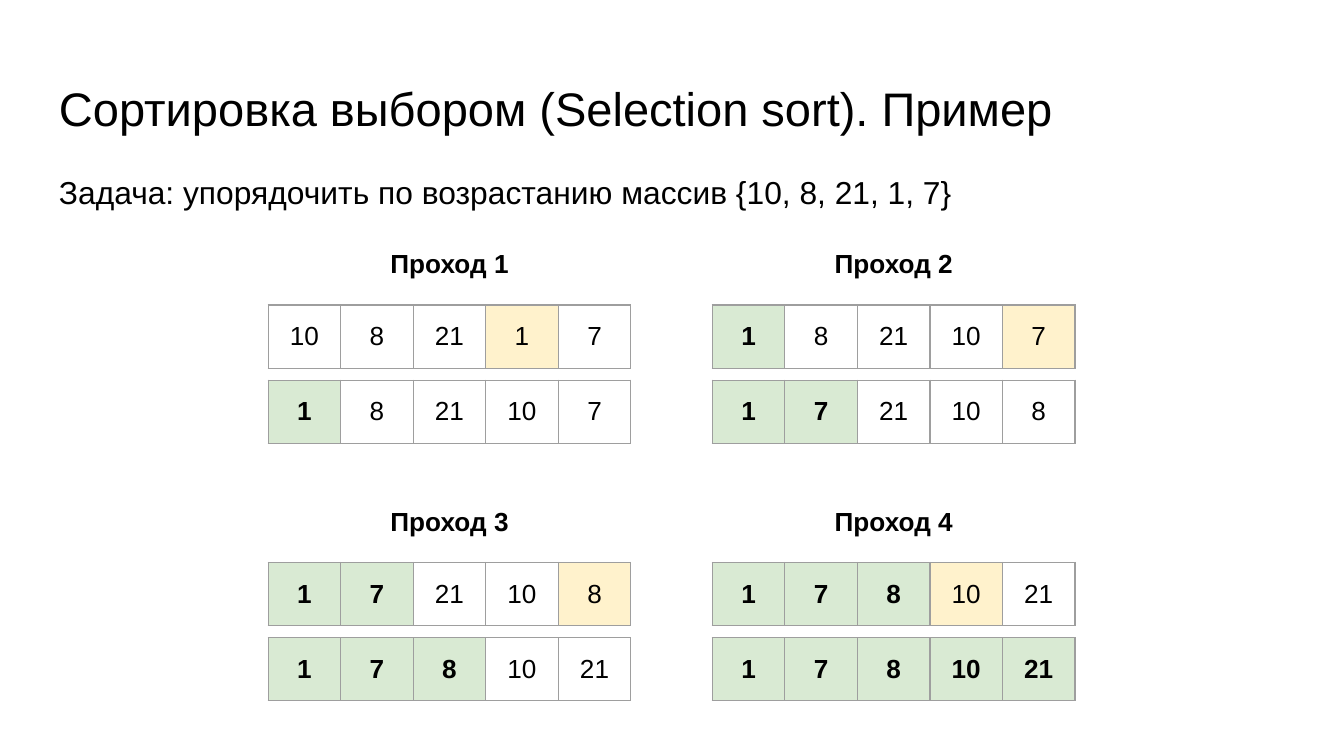
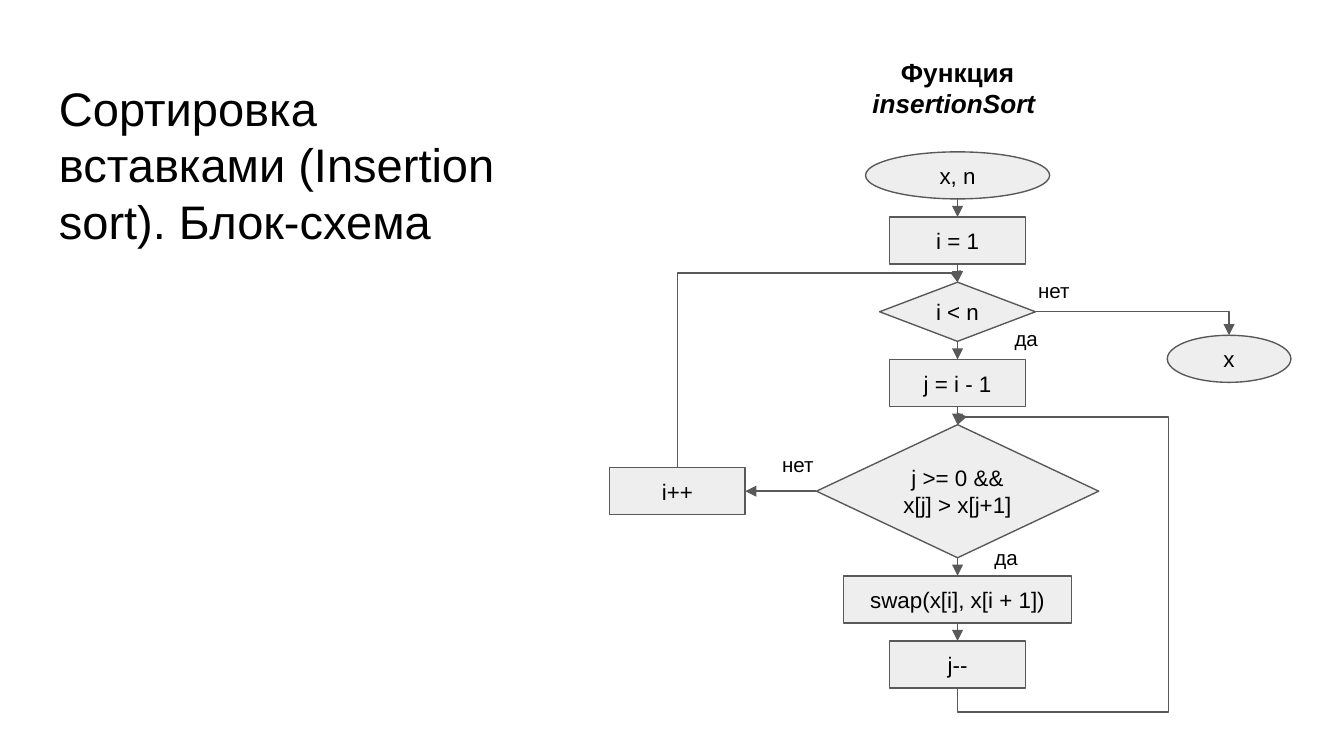
from lxml import etree
from pptx import Presentation
from pptx.dml.color import RGBColor
from pptx.enum.shapes import MSO_CONNECTOR, MSO_SHAPE
from pptx.enum.text import MSO_ANCHOR, PP_ALIGN
from pptx.oxml.ns import qn
from pptx.util import Emu, Pt

STRAIGHT = MSO_CONNECTOR.STRAIGHT
ELBOW = MSO_CONNECTOR.ELBOW
ELLIPSE = MSO_SHAPE.OVAL
RECTANGLE = MSO_SHAPE.RECTANGLE
DIAMOND = MSO_SHAPE.DIAMOND
LEFT = PP_ALIGN.LEFT
CENTER = PP_ALIGN.CENTER
TOP = MSO_ANCHOR.TOP
MIDDLE = MSO_ANCHOR.MIDDLE

SIDE_TOP, SIDE_LEFT, SIDE_BOTTOM, SIDE_RIGHT = range(4)

EMU_PER_PX = 4572
FONT = "Arial"
COLORS = {
    "text": "000000",
    "background": "FFFFFF",
    "sorted": "D9EAD3",
    "minimum": "FFF2CC",
    "cell_border": "9E9E9E",
    "node": "EEEEEE",
    "node_line": "595959",
}
INSET = 20
LINE_WIDTH = Pt(0.75)
CELL_WIDTH, CELL_HEIGHT = 108, 94
NODE_HEIGHT = 70
NODE_GAP = 27
AXIS = 1425
MIN_BREADTH = Emu(600)


def px(value):
    return Emu(round(value * EMU_PER_PX))


def color(name):
    return RGBColor.from_string(COLORS[name])


def set_insets(target):
    target.margin_left = target.margin_right = px(INSET)
    target.margin_top = target.margin_bottom = px(INSET)


def format_run(run, size, bold=False, italic=False):
    run.font.name = FONT
    run.font.size = Pt(size)
    run.font.bold = bold
    run.font.italic = italic
    run.font.color.rgb = color("text")


def write(text_frame, text, size, bold=False, align=LEFT):
    text_frame.text = text
    paragraph = text_frame.paragraphs[0]
    paragraph.alignment = align
    format_run(paragraph.runs[0], size, bold)
    return paragraph


def add_text(slide, box, text, size, bold=False, align=LEFT, anchor=TOP):
    shape = slide.shapes.add_textbox(*map(px, box))
    text_frame = shape.text_frame
    text_frame.word_wrap = True
    text_frame.vertical_anchor = anchor
    set_insets(text_frame)
    return write(text_frame, text, size, bold, align)


def add_slide(presentation, title, title_width, title_height):
    slide = presentation.slides.add_slide(presentation.slide_layouts[6])
    slide.background.fill.solid()
    slide.background.fill.fore_color.rgb = color("background")
    add_text(slide, (68, 98, title_width, title_height), title, 25.2)
    return slide


def add_borders(cell):
    properties = cell._tc.get_or_add_tcPr()
    for position, edge in enumerate(("a:lnL", "a:lnR", "a:lnT", "a:lnB")):
        line = etree.Element(qn(edge), w=str(LINE_WIDTH))
        fill = etree.SubElement(line, qn("a:solidFill"))
        etree.SubElement(fill, qn("a:srgbClr"), val=COLORS["cell_border"])
        properties.insert(position, line)


def add_array(slide, left, top, values, sorted_count, minimum=None):
    count = len(values)
    frame = slide.shapes.add_table(
        1, count, px(left), px(top), px(CELL_WIDTH * count), px(CELL_HEIGHT)
    )
    table = frame.table
    table.first_row = table.horz_banding = False
    for index, value in enumerate(values):
        cell = table.cell(0, index)
        is_sorted = index < sorted_count
        if is_sorted or index == minimum:
            cell.fill.solid()
            cell.fill.fore_color.rgb = color("sorted" if is_sorted else "minimum")
        else:
            cell.fill.background()
        add_borders(cell)
        set_insets(cell)
        cell.vertical_anchor = MIDDLE
        write(cell.text_frame, str(value), 14, is_sorted, CENTER)


def add_node(slide, kind, center, top, width, text, height=NODE_HEIGHT):
    shape = slide.shapes.add_shape(
        kind, px(center - width / 2), px(top), px(width), px(height)
    )
    shape.shadow.inherit = False
    shape.fill.solid()
    shape.fill.fore_color.rgb = color("node")
    shape.line.color.rgb = color("node_line")
    shape.line.width = LINE_WIDTH
    text_frame = shape.text_frame
    text_frame.word_wrap = True
    text_frame.vertical_anchor = MIDDLE
    set_insets(text_frame)
    write(text_frame, text, 12, align=CENTER)
    return shape


def add_arrow(slide, source, source_side, target, target_side, kind=STRAIGHT):
    connector = slide.shapes.add_connector(kind, 0, 0, 0, 0)
    connector.begin_connect(source, source_side)
    connector.end_connect(target, target_side)
    if source.auto_shape_type == ELLIPSE:
        start = next(connector.element.iter(qn("a:stCxn")))
        start.set("idx", str(source_side * 2))
    connector.line.color.rgb = color("node_line")
    connector.line.width = LINE_WIDTH
    line = connector.line._get_or_add_ln()
    etree.SubElement(line, qn("a:tailEnd"), type="triangle")
    etree.SubElement(connector.element.spPr, qn("a:effectLst"))
    return connector


def set_preset(connector, preset, adjustments=()):
    geometry = connector.element.spPr.find(qn("a:prstGeom"))
    geometry.set("prst", preset)
    guides = geometry.find(qn("a:avLst"))
    if guides is None:
        guides = etree.SubElement(geometry, qn("a:avLst"))
    for number, ratio in enumerate(adjustments, 1):
        formula = f"val {round(ratio * 100000)}"
        etree.SubElement(guides, qn("a:gd"), name=f"adj{number}", fmla=formula)


def add_loop_arrow(slide, source, source_side, target, preset, adjustments):
    connector = add_arrow(slide, source, source_side, target, SIDE_TOP, ELBOW)
    length = connector.begin_y - connector.end_y
    breadth = max(connector.end_x - connector.begin_x, MIN_BREADTH)
    center_x = connector.begin_x + breadth // 2
    center_y = connector.end_y + length // 2
    transform = connector.element.spPr.find(qn("a:xfrm"))
    for flip in ("flipH", "flipV"):
        transform.attrib.pop(flip, None)
    transform.set("rot", str(270 * 60000))
    connector.left = Emu(center_x - length // 2)
    connector.top = Emu(center_y - breadth // 2)
    connector.width = Emu(length)
    connector.height = Emu(breadth)
    set_preset(connector, preset, adjustments)


def build_selection_sort(presentation):
    slide = add_slide(
        presentation, "Сортировка выбором (Selection sort). Пример", 1864, 126
    )
    values = [10, 8, 21, 1, 7]
    task = ", ".join(map(str, values))
    add_text(
        slide,
        (68, 237, 1864, 98),
        f"Задача: упорядочить по возрастанию массив {{{task}}}",
        17,
    )
    last = len(values) - 2
    for step in range(last + 1):
        row, column = divmod(step, 2)
        left, top = 399 + 661 * column, 454 + 383 * row
        label = f"Проход {step + 1}"
        label_box = (left + 98, top - 106, 344, 88)
        add_text(slide, label_box, label, 14, True, CENTER, MIDDLE)
        minimum = values.index(min(values[step:]))
        add_array(slide, left, top, values, step, minimum)
        values[step], values[minimum] = values[minimum], values[step]
        sorted_count = len(values) if step == last else step + 1
        add_array(slide, left, top + 112, values, sorted_count)


def build_insertion_sort(presentation):
    slide = add_slide(
        presentation, "Сортировка вставками (Insertion sort). Блок-схема", 772, 294
    )
    heading = add_text(slide, (1246, 64, 358, 134), "Функция ", 14, True, CENTER)
    function_name = heading.add_run()
    function_name.text = "insertionSort "
    format_run(function_name, 14, True, True)

    column = []
    top = 226
    for kind, width, height, text in (
        (ELLIPSE, 274, NODE_HEIGHT, "x, n"),
        (RECTANGLE, 202, NODE_HEIGHT, "i = 1"),
        (DIAMOND, 232, 88, "i < n"),
        (RECTANGLE, 202, NODE_HEIGHT, "j = i - 1"),
        (DIAMOND, 420, 198, "j >= 0 && x[j] > x[j+1]"),
        (RECTANGLE, 340, NODE_HEIGHT, "swap(x[i], x[i + 1])"),
        (RECTANGLE, 202, NODE_HEIGHT, "j--"),
    ):
        column.append(add_node(slide, kind, AXIS, top, width, text, height))
        top += height + NODE_GAP
    outer_test, inner_test, decrement = column[2], column[4], column[6]
    increment = add_node(slide, RECTANGLE, 1008, 696, 202, "i++")
    result = add_node(slide, ELLIPSE, 1829, 499, 184, "x")

    for upper, lower in zip(column, column[1:]):
        add_arrow(slide, upper, SIDE_BOTTOM, lower, SIDE_TOP)
    add_arrow(slide, inner_test, SIDE_LEFT, increment, SIDE_RIGHT)
    exit_arrow = add_arrow(slide, outer_test, SIDE_RIGHT, result, SIDE_TOP, ELBOW)
    set_preset(exit_arrow, "bentConnector2")
    add_loop_arrow(
        slide, increment, SIDE_TOP, outer_test, "bentConnector3", [1.05]
    )
    add_loop_arrow(
        slide,
        decrement,
        SIDE_BOTTOM,
        inner_test,
        "bentConnector5",
        [-0.09, 1993.63, 1.03],
    )

    for left, top, answer in (
        (1525, 395, "нет"),
        (1490, 467, "да"),
        (1144, 654, "нет"),
        (1460, 792, "да"),
    ):
        add_text(slide, (left, top, 102, 78), answer, 11)


def main():
    presentation = Presentation()
    presentation.slide_width = px(2000)
    presentation.slide_height = px(1125)
    build_selection_sort(presentation)
    build_insertion_sort(presentation)
    presentation.save("out.pptx")


if __name__ == "__main__":
    main()
